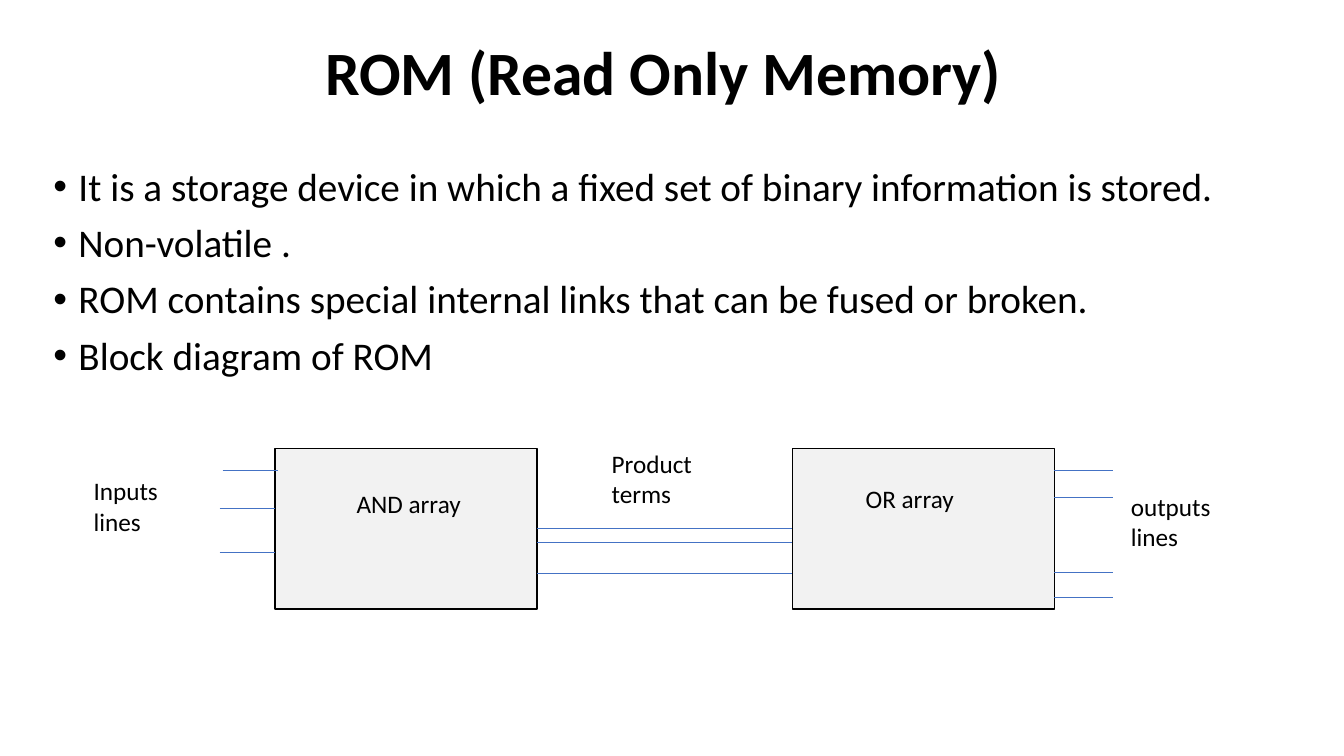
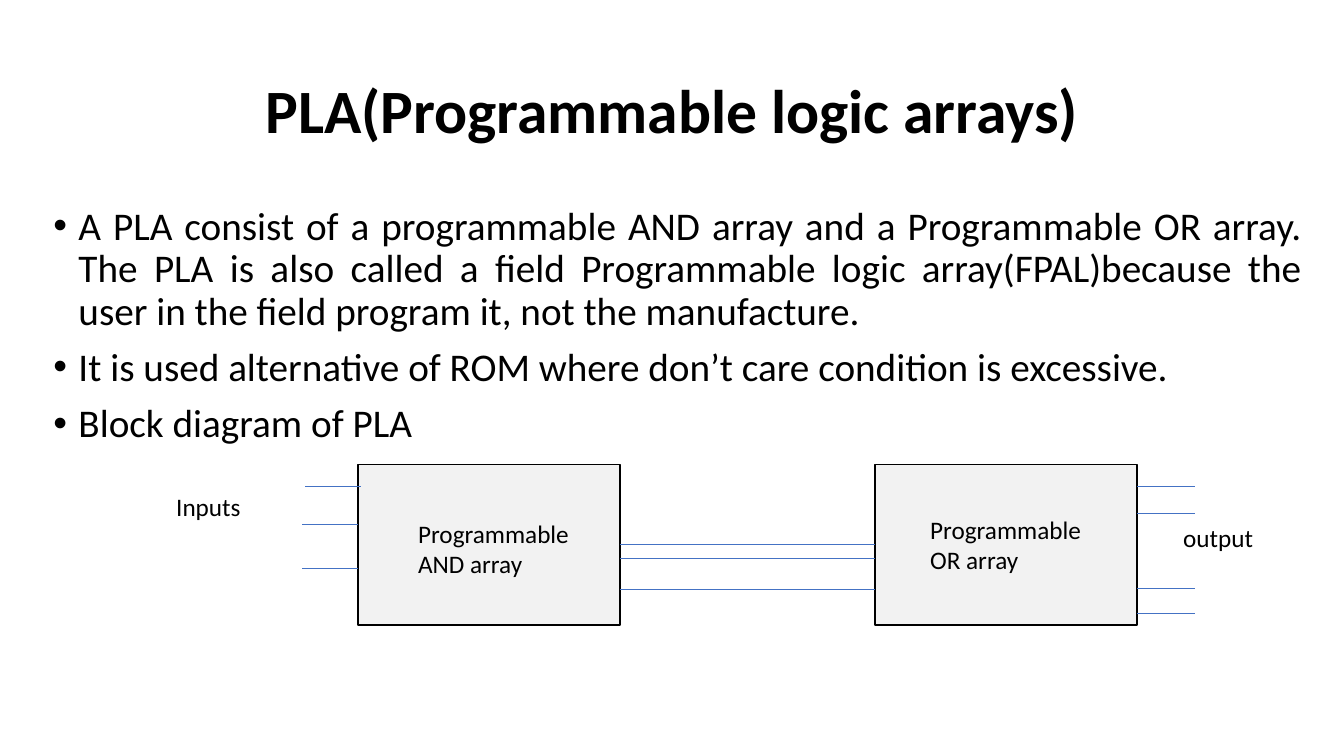
from dataclasses import dataclass
from typing import Any

import pptx
import pptx.dml.color
import pptx.enum.shapes
import pptx.enum.text
import pptx.oxml.ns
import pptx.util
from lxml import etree

COLOURS = {"text": "000000", "block": "F2F2F2", "outline": "000000", "signal": "4472C4"}
FONT = "Calibri"
ALIGN = pptx.enum.text.PP_ALIGN

# The slide is a grid of 80 columns and 45 rows; every length counts grid cells.
COLUMNS, ROWS = 80, 45
SLIDE_WIDTH, SLIDE_HEIGHT = pptx.util.Inches(13.33), pptx.util.Inches(7.5)

TITLE_SIZE = (69, 8.7)
BODY_LEFT, BODY_WIDTH = 2.58, 75.48

BLOCK_WIDTH, BLOCK_HEIGHT = 15.6, 9.54
BLOCK_GAP = 15.18
OR_LEFT = BLOCK_WIDTH + BLOCK_GAP
OR_RIGHT = OR_LEFT + BLOCK_WIDTH


@dataclass(frozen=True)
class Label:
    """Diagram text, placed from the top left corner of the AND block."""
    text: str
    left: float
    top: float
    width: float = 7.56
    height: float = 2.4


@dataclass(frozen=True)
class Bus:
    """Parallel lines between two columns, one for each row."""
    start: float
    end: float
    rows: tuple[float, ...]


@dataclass(frozen=True)
class Topic:
    title: str
    title_at: tuple[float, float]
    bullets: tuple[str, ...]
    bullet_align: Any
    body_top: float
    body_height: float
    diagram_at: tuple[float, float]
    labels: tuple[Label, ...]


BUSES = (
    Bus(-3.12, 0.18, (1.32,)),
    Bus(-3.3, 0, (3.54, 6.18)),
    Bus(BLOCK_WIDTH, OR_LEFT, (4.74, 5.58, 7.44)),
    Bus(OR_RIGHT, OR_RIGHT + 3.48, (1.32, 2.88, 7.38, 8.88)),
)

TOPICS = (
    Topic(
        title="ROM (Read Only Memory)",
        title_at=(5, 0.12),
        bullets=(
            "It is a storage device in which a fixed set of binary information is stored.",
            "Non-volatile .",
            "ROM contains special internal links that can be fused or broken.",
            "Block diagram of ROM",
        ),
        bullet_align=ALIGN.LEFT,
        body_top=9.66,
        body_height=34.02,
        diagram_at=(16.38, 26.7),
        labels=(
            Label("Inputs lines", -11.4, 1.32, height=4.26),
            Label("outputs lines", 50.34, 2.22, height=4.26),
            Label("Product terms", 19.44, -0.3, height=4.26),
            Label("AND array", 4.26, 2.1),
            Label("OR array", 34.56, 1.8),
        ),
    ),
    Topic(
        title="PLA(Programmable logic arrays)",
        title_at=(5.52, 2.4),
        bullets=(
            "A PLA consist of a programmable AND array and a Programmable OR array. "
            "The PLA is also called a field Programmable logic array(FPAL)because the "
            "user in the field program it, not the manufacture.",
            "It is used alternative of ROM where don’t care condition is excessive.",
            "Block diagram of PLA",
        ),
        bullet_align=ALIGN.JUSTIFY,
        body_top=12,
        body_height=32.4,
        diagram_at=(21.3, 27.66),
        labels=(
            Label("Inputs", -11.4, 1.32),
            Label("Programmable AND array", 3, 2.88, 10.5, 4.26),
            Label("Programmable OR array", 33.48, 2.64, 11.7, 4.26),
            Label("output", 48.54, 3.12),
        ),
    ),
)


def across(columns: float) -> int:
    return round(SLIDE_WIDTH * columns / COLUMNS)


def down(rows: float) -> int:
    return round(SLIDE_HEIGHT * rows / ROWS)


def colour(name: str) -> pptx.dml.color.RGBColor:
    return pptx.dml.color.RGBColor.from_string(COLOURS[name])


def add_text(slide: Any, left: float, top: float, width: float, height: float,
             lines: tuple[str, ...], size: int, bold: bool = False) -> Any:
    """Add a wrapping text box with one paragraph a line and return its frame."""
    frame = slide.shapes.add_textbox(
        across(left), down(top), across(width), down(height)).text_frame
    frame.word_wrap = True
    frame.text = "\n".join(lines)
    for paragraph in frame.paragraphs:
        for run in paragraph.runs:
            run.font.name = FONT
            run.font.size = pptx.util.Pt(size)
            run.font.bold = bold
            run.font.color.rgb = colour("text")
    return frame


def add_title(slide: Any, topic: Topic) -> None:
    frame = add_text(slide, *topic.title_at, *TITLE_SIZE, (topic.title,), 44, bold=True)
    frame.vertical_anchor = pptx.enum.text.MSO_ANCHOR.MIDDLE
    frame.paragraphs[0].alignment = ALIGN.CENTER
    frame.paragraphs[0].line_spacing = 0.9


def add_bullets(slide: Any, topic: Topic) -> None:
    frame = add_text(slide, BODY_LEFT, topic.body_top, BODY_WIDTH, topic.body_height,
                     topic.bullets, 28)
    indent = pptx.util.Inches(0.25)
    for index, paragraph in enumerate(frame.paragraphs):
        paragraph.alignment = topic.bullet_align
        paragraph.line_spacing = 0.9
        paragraph.space_before = pptx.util.Pt(10 if index else 0)
        properties = paragraph._p.get_or_add_pPr()
        properties.set("marL", str(indent))
        properties.set("indent", str(-indent))
        bullet_font = etree.SubElement(properties, pptx.oxml.ns.qn("a:buFont"))
        bullet_font.set("typeface", "Arial")
        bullet = etree.SubElement(properties, pptx.oxml.ns.qn("a:buChar"))
        bullet.set("char", "•")


def add_block(slide: Any, left: float, top: float) -> None:
    block = slide.shapes.add_shape(
        pptx.enum.shapes.MSO_SHAPE.RECTANGLE,
        across(left), down(top), across(BLOCK_WIDTH), down(BLOCK_HEIGHT))
    block.shadow.inherit = False
    block.fill.solid()
    block.fill.fore_color.rgb = colour("block")
    block.line.color.rgb = colour("outline")
    block.line.width = pptx.util.Pt(1)


def add_signal(slide: Any, start: float, end: float, row: float) -> None:
    signal = slide.shapes.add_connector(
        pptx.enum.shapes.MSO_CONNECTOR.STRAIGHT,
        across(start), down(row), across(end), down(row))
    signal.line.color.rgb = colour("signal")
    signal.line.width = pptx.util.Pt(0.5)
    etree.SubElement(signal._element.spPr, pptx.oxml.ns.qn("a:effectLst"))


def add_diagram(slide: Any, topic: Topic) -> None:
    left, top = topic.diagram_at
    for block_left in (0, OR_LEFT):
        add_block(slide, left + block_left, top)
    for label in topic.labels:
        add_text(slide, left + label.left, top + label.top, label.width, label.height,
                 (label.text,), 18)
    for bus in BUSES:
        for row in bus.rows:
            add_signal(slide, left + bus.start, left + bus.end, top + row)


def main() -> None:
    deck = pptx.Presentation()
    deck.slide_width, deck.slide_height = SLIDE_WIDTH, SLIDE_HEIGHT
    blank = deck.slide_layouts[6]
    for topic in TOPICS:
        slide = deck.slides.add_slide(blank)
        add_title(slide, topic)
        add_bullets(slide, topic)
        add_diagram(slide, topic)
    deck.save("out.pptx")


if __name__ == "__main__":
    main()
